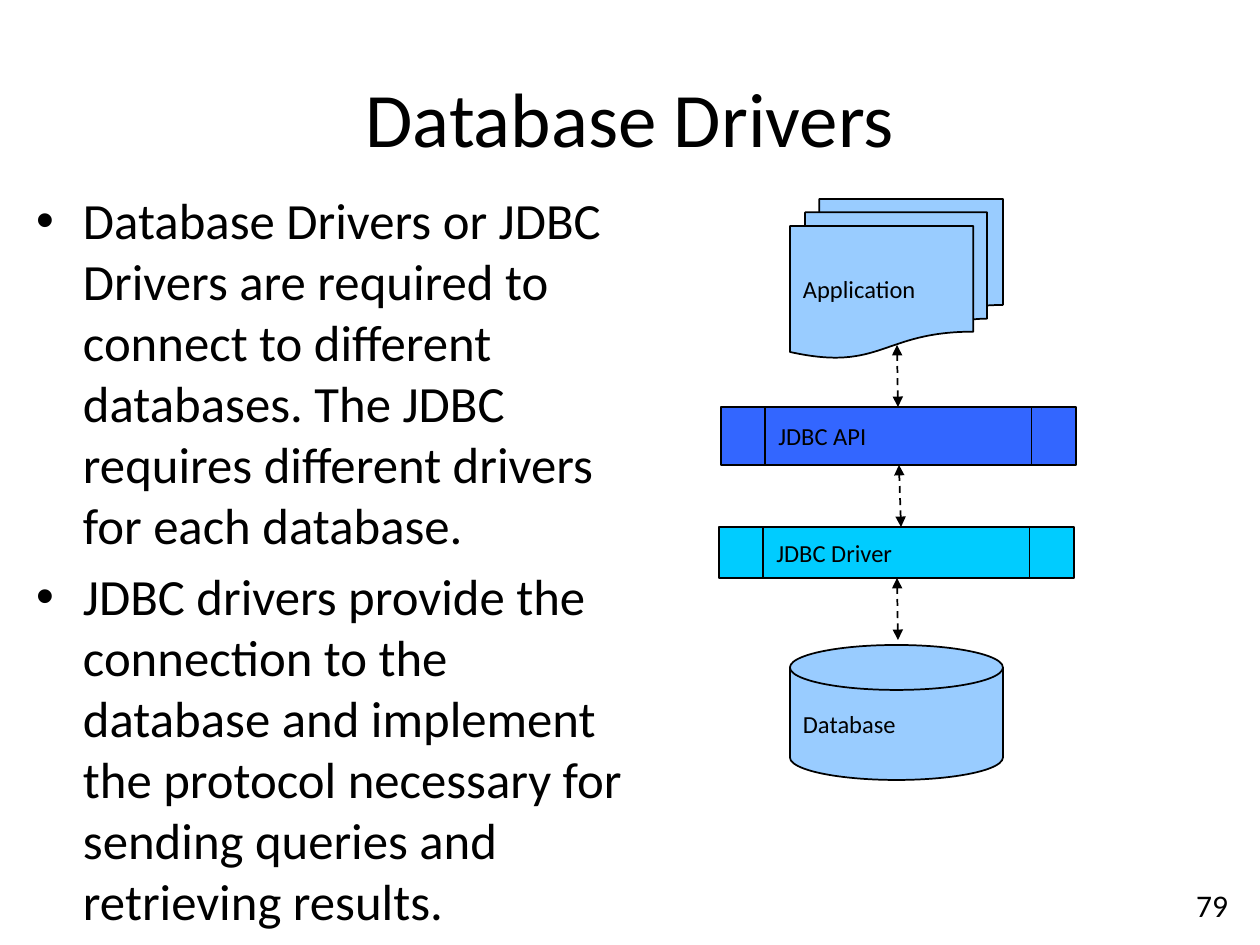
from lxml import etree
from pptx import Presentation
from pptx.dml.color import RGBColor
from pptx.enum.dml import MSO_LINE
from pptx.enum.shapes import MSO_CONNECTOR, MSO_SHAPE
from pptx.enum.text import MSO_ANCHOR, PP_ALIGN
from pptx.oxml.ns import qn
from pptx.util import Emu, Pt

LEFT, CENTER, RIGHT = PP_ALIGN.LEFT, PP_ALIGN.CENTER, PP_ALIGN.RIGHT
TOP, MIDDLE, BOTTOM = MSO_ANCHOR.TOP, MSO_ANCHOR.MIDDLE, MSO_ANCHOR.BOTTOM
PAPERS = MSO_SHAPE.FLOWCHART_MULTIDOCUMENT
PROCESS = MSO_SHAPE.FLOWCHART_PREDEFINED_PROCESS
DISK = MSO_SHAPE.FLOWCHART_MAGNETIC_DISK
STRAIGHT, DASH = MSO_CONNECTOR.STRAIGHT, MSO_LINE.DASH
BLACK = RGBColor(0x00, 0x00, 0x00)
PALE = RGBColor(0x99, 0xCC, 0xFF)
BLUE = RGBColor(0x33, 0x66, 0xFF)
CYAN = RGBColor(0x00, 0xCC, 0xFF)
FONT = "Calibri"
HANG = 47
POINTS = [
    "Database Drivers or JDBC Drivers are required to connect to different databases. "
    "The JDBC requires different drivers for each database.",
    "JDBC drivers provide the connection to the database and implement the protocol "
    "necessary for sending queries and retrieving results.",
]
LAYERS = [
    ("Application", PAPERS, PALE, (71, 0, 213, 159)),
    ("JDBC API", PROCESS, BLUE, (2, 208, 355, 58)),
    ("JDBC Driver", PROCESS, CYAN, (0, 328, 355, 51)),
    ("Database", DISK, PALE, (71, 446, 213, 135)),
]
ARROWS = [(179, 208, 178, 146), (182, 328, 180, 266), (179, 441, 178, 379)]


def px(length):
    """Turn pixels into EMU."""
    return Emu(round(length * 914400 / 126))


def write(frame, texts, size=14, align=LEFT, anchor=TOP, hang=0, bullet=None, inset=6):
    """Fill a text frame with one formatted paragraph per text."""
    frame.word_wrap = True
    frame.vertical_anchor = anchor
    frame.margin_left = frame.margin_right = px(13)
    frame.margin_top, frame.margin_bottom = px(inset), px(6)
    for index, text in enumerate(texts):
        para = frame.add_paragraph() if index else frame.paragraphs[0]
        para.alignment = align
        para.space_before = Pt(6 if index else 0)
        properties = para._p.get_or_add_pPr()
        if hang:
            properties.set("marL", str(px(hang)))
            properties.set("indent", str(px(-hang)))
        if bullet:
            etree.SubElement(properties, qn("a:buFont")).set("typeface", "Arial")
            etree.SubElement(properties, qn("a:buChar")).set("char", bullet)
        span = para.add_run()
        span.text = text
        span.font.name, span.font.size = FONT, Pt(size)
        span.font.color.rgb = BLACK


def add_text(page, box, texts, **style):
    """Add a text box."""
    write(page.shapes.add_textbox(*map(px, box)).text_frame, texts, **style)


def add_layer(page, box, label, kind, color):
    """Add one labelled layer of the diagram."""
    shape = page.shapes.add_shape(kind, *map(px, box))
    shape.shadow.inherit = False
    shape.fill.solid()
    shape.fill.fore_color.rgb = color
    shape.line.color.rgb = BLACK
    shape.line.width = Pt(1)
    write(shape.text_frame, [label], anchor=MIDDLE, hang=HANG)


def add_arrow(page, ends):
    """Add a dashed arrow with a head at both ends."""
    arrow = page.shapes.add_connector(STRAIGHT, *map(px, ends))
    arrow.line.color.rgb = BLACK
    arrow.line.width = Pt(1)
    arrow.line.dash_style = DASH
    outline = arrow.line._get_or_add_ln()
    for end in ("a:headEnd", "a:tailEnd"):
        etree.SubElement(outline, qn(end)).set("type", "triangle")
    etree.SubElement(arrow._element.spPr, qn("a:effectLst"))


def add_diagram(page, left, top):
    """Place the driver layers and their arrows from a top left corner."""
    for label, kind, color, (x, y, width, height) in LAYERS:
        add_layer(page, (left + x, top + y, width, height), label, kind, color)
    for x1, y1, x2, y2 in ARROWS:
        add_arrow(page, (left + x1, top + y1, left + x2, top + y2))


def main():
    """Build the deck."""
    deck = Presentation()
    deck.slide_width, deck.slide_height = px(1260), px(945)
    page = deck.slides.add_slide(deck.slide_layouts[6])
    add_text(page, (1008, 892, 233, 38), ["79"], size=18, align=RIGHT, anchor=BOTTOM)
    add_text(page, (63, 38, 1134, 157), ["Database Drivers"], size=44, align=CENTER, anchor=MIDDLE)
    add_text(page, (23, 179, 622, 735), POINTS, size=29, hang=HANG, bullet="•", inset=10)
    add_diagram(page, 719, 199)
    deck.save("out.pptx")


if __name__ == "__main__":
    main()
